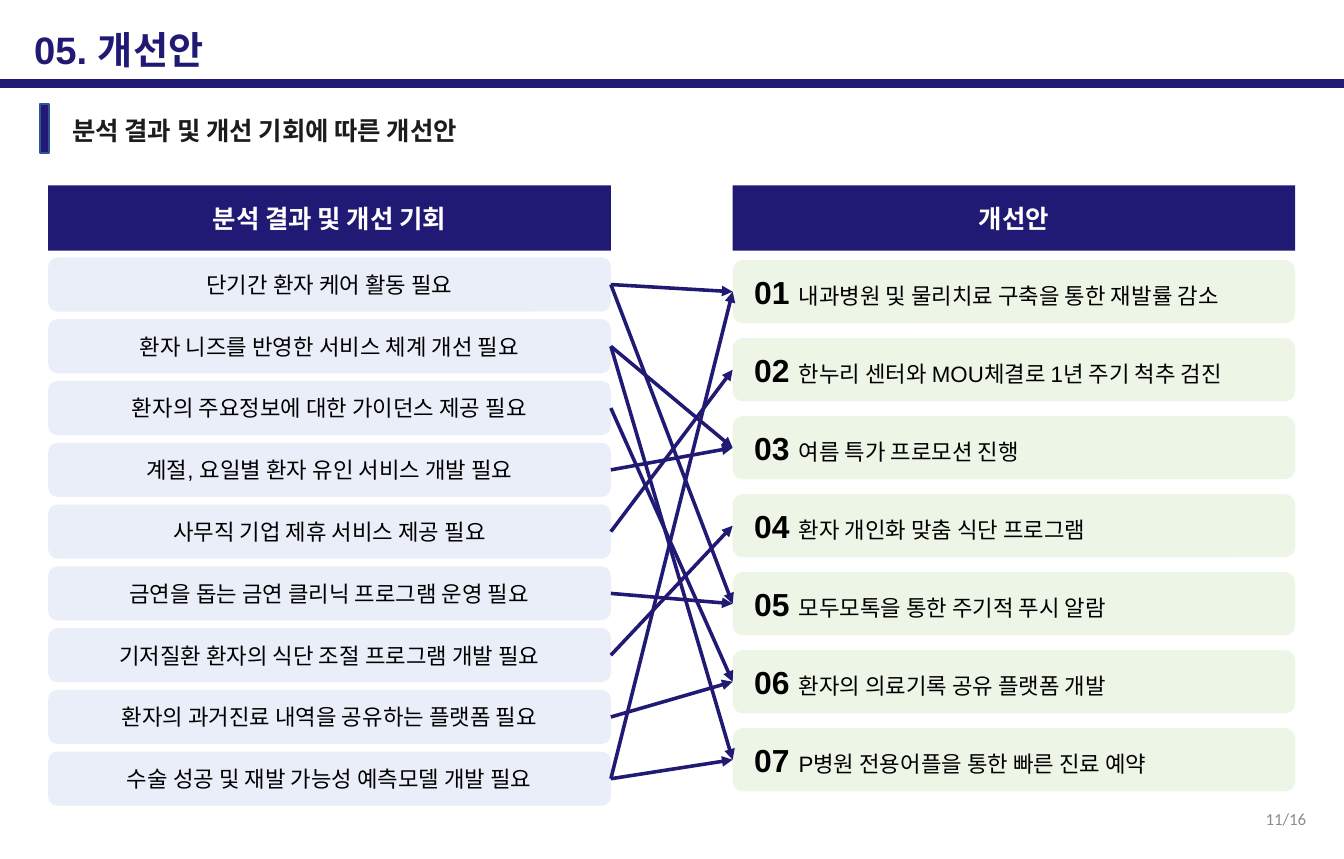
from lxml.etree import SubElement
from pptx import Presentation
from pptx.dml.color import RGBColor
from pptx.enum.shapes import MSO_CONNECTOR as LINE, MSO_SHAPE as SHAPE
from pptx.enum.text import MSO_ANCHOR as ANCHOR, PP_ALIGN as ALIGN
from pptx.oxml.ns import qn
from pptx.util import Cm, Pt

TITLE = "05. 개선안"
LEAD = "분석 결과 및 개선 기회에 따른 개선안"
PAGE = "11/16"
HEADS = ["분석 결과 및 개선 기회", "개선안"]
NEEDS = [
    "단기간 환자 케어 활동 필요",
    "환자 니즈를 반영한 서비스 체계 개선 필요",
    "환자의 주요정보에 대한 가이던스 제공 필요",
    "계절, 요일별 환자 유인 서비스 개발 필요",
    "사무직 기업 제휴 서비스 제공 필요",
    "금연을 돕는 금연 클리닉 프로그램 운영 필요",
    "기저질환 환자의 식단 조절 프로그램 개발 필요",
    "환자의 과거진료 내역을 공유하는 플랫폼 필요",
    "수술 성공 및 재발 가능성 예측모델 개발 필요",
]
PLANS = [
    "내과병원 및 물리치료 구축을 통한 재발률 감소",
    "한누리 센터와 MOU체결로 1년 주기 척추 검진",
    "여름 특가 프로모션 진행",
    "환자 개인화 맞춤 식단 프로그램",
    "모두모톡을 통한 주기적 푸시 알람",
    "환자의 의료기록 공유 플랫폼 개발",
    "P병원 전용어플을 통한 빠른 진료 예약",
]
# need number -> plan numbers
LINKS = {1: [1, 5], 2: [3, 7], 3: [6], 4: [3], 5: [2],
         6: [5], 7: [4], 8: [6], 9: [1, 7]}

NAVY = RGBColor(0x20, 0x1A, 0x74)
EDGE = RGBColor(0x32, 0x54, 0x91)
INK = RGBColor(0x1D, 0x1C, 0x1D)
BLACK = RGBColor(0, 0, 0)
WHITE = RGBColor(0xFF, 0xFF, 0xFF)
GRAY = RGBColor(0x8C, 0x8C, 0x8C)
BLUE = RGBColor(0xDD, 0xE5, 0xF4)
GREEN = RGBColor(0xE2, 0xF0, 0xD9)

HANGUL = "Noto Sans CJK KR"
BIG = dict(name="Arial", size=Pt(24), bold=True)
SUB = dict(name=HANGUL, size=Pt(16), bold=True)
HEAD = dict(name="Calibri", size=Pt(16), bold=True)
BODY = dict(name="Arial", size=Pt(14), bold=False)
NUM = dict(name="Arial", size=Pt(20), bold=True)
FOOT = dict(name="Calibri", size=Pt(10.6), bold=False)

WIDE, HIGH = 29.79, 19.05
COLS = [1.07, 16.24]
CARD = 12.47
NEED_TOP, NEED_STEP, NEED_H = 5.71, 1.37, 1.2
PLAN_TOP, PLAN_STEP, PLAN_H = 5.77, 1.73, 1.4

deck = Presentation()
deck.slide_width, deck.slide_height = Cm(WIDE), Cm(HIGH)
slide = deck.slides.add_slide(deck.slide_layouts[6])


def write(shape, runs, color, align=ALIGN.LEFT, **frame):
    """Fill a shape with one paragraph of (text, font format) runs."""
    form = dict(word_wrap=True, vertical_anchor=ANCHOR.MIDDLE) | frame
    for key, value in form.items():
        setattr(shape.text_frame, key, value)
    para = shape.text_frame.paragraphs[0]
    para.alignment = align
    for text, style in runs:
        run = para.add_run()
        run.text = text
        for key, value in style.items():
            setattr(run.font, key, value)
        run.font.color.rgb = color
        SubElement(run.font._element, qn("a:ea"), typeface=HANGUL)


def label(box, text, style, color, align=ALIGN.LEFT):
    shape = slide.shapes.add_textbox(*map(Cm, box))
    write(shape, [(text, style)], color, align)


def block(kind, box, fill, line=None, alpha=None):
    """Add a filled shape; alpha is the opacity in percent."""
    shape = slide.shapes.add_shape(kind, *map(Cm, box))
    shape.shadow.inherit = False
    shape.fill.solid()
    shape.fill.fore_color.rgb = fill
    if alpha:
        tint = shape._element.spPr.find(".//" + qn("a:srgbClr"))
        SubElement(tint, qn("a:alpha"), val=str(alpha * 1000))
    if line is None:
        shape.line.fill.background()
    else:
        shape.line.color.rgb = line
        shape.line.width = Pt(1)
    return shape


def arrow(start, end):
    """Join the right side of start to the left side of end."""
    link = slide.shapes.add_connector(LINE.STRAIGHT, 0, 0, 0, 0)
    link.begin_connect(start, 3)
    link.end_connect(end, 1)
    link.line.color.rgb = NAVY
    link.line.width = Pt(2.25)
    SubElement(link.line._get_or_add_ln(), qn("a:tailEnd"), type="triangle")
    SubElement(link._element.spPr, qn("a:effectLst"))


label((0.51, 0.46, 7, 1.27), TITLE, BIG, NAVY)
block(SHAPE.RECTANGLE, (0, 1.78, WIDE, 0.15), NAVY, NAVY)
label((1.35, 2.41, 16, 0.94), LEAD, SUB, INK)
block(SHAPE.RECTANGLE, (0.89, 2.31, 0.2, 1.09), NAVY, EDGE)

for left, text in zip(COLS, HEADS):
    head = block(SHAPE.RECTANGLE, (left, 4.11, CARD, 1.45), NAVY)
    write(head, [(text, HEAD)], WHITE, ALIGN.CENTER)

needs, plans = [], []
for row, text in enumerate(NEEDS):
    box = (COLS[0], NEED_TOP + row * NEED_STEP, CARD, NEED_H)
    card = block(SHAPE.ROUNDED_RECTANGLE, box, BLUE, alpha=62)
    write(card, [(text, BODY)], BLACK, ALIGN.CENTER)
    needs.append(card)
for row, text in enumerate(PLANS):
    box = (COLS[1], PLAN_TOP + row * PLAN_STEP, CARD, PLAN_H)
    card = block(SHAPE.ROUNDED_RECTANGLE, box, GREEN, alpha=62)
    runs = [(f"{row + 1:02} ", NUM), (text, BODY)]
    write(card, runs, BLACK, margin_left=Cm(0.41))
    plans.append(card)

for need, ends in LINKS.items():
    for plan in ends:
        arrow(needs[need - 1], plans[plan - 1])

label((22.5, 17.65, 6.7, 1.02), PAGE, FOOT, GRAY, ALIGN.RIGHT)

deck.save("out.pptx")
